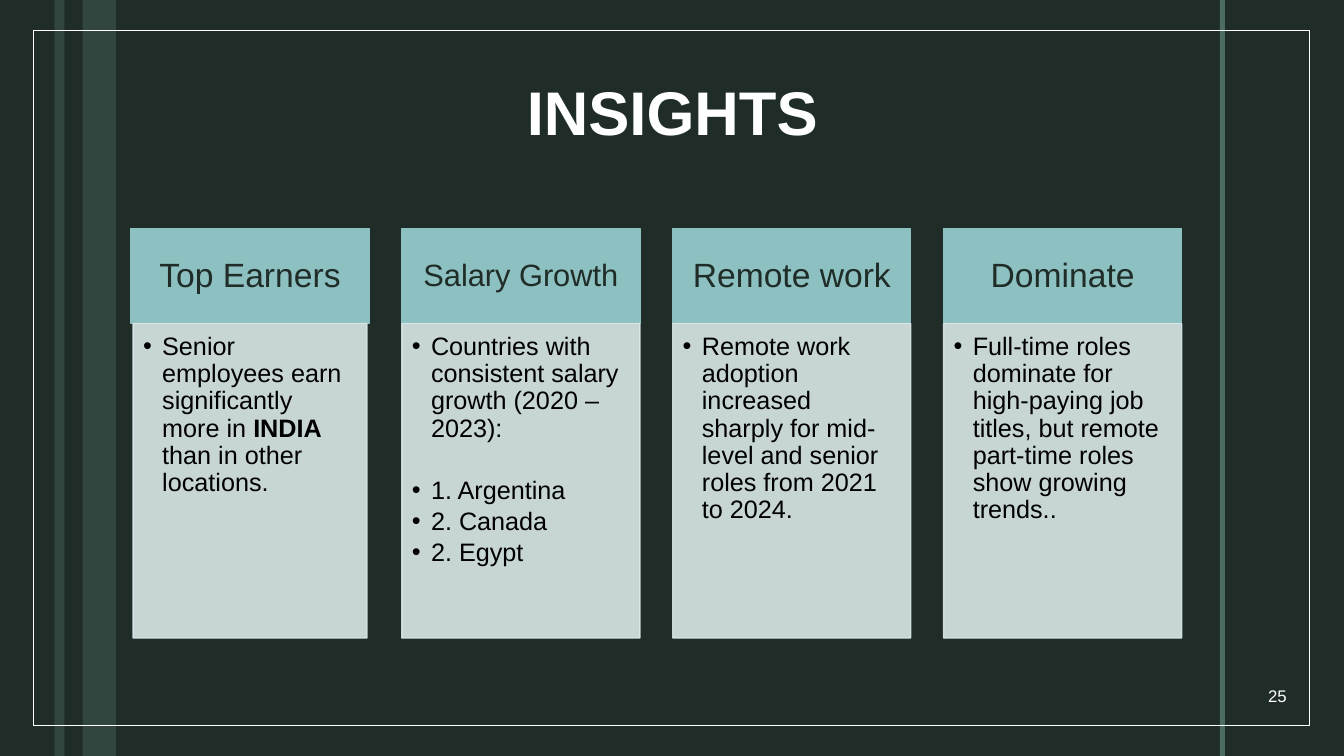
from dataclasses import dataclass

from lxml import etree
from pptx import Presentation
from pptx.dml.color import RGBColor
from pptx.enum.shapes import MSO_SHAPE
from pptx.enum.text import MSO_ANCHOR, PP_ALIGN
from pptx.oxml.ns import qn
from pptx.shapes.autoshape import Shape
from pptx.slide import Slide
from pptx.text.text import TextFrame, _Paragraph
from pptx.util import Inches, Pt

RECT = MSO_SHAPE.RECTANGLE
TOP, MIDDLE = MSO_ANCHOR.TOP, MSO_ANCHOR.MIDDLE
LEFT, CENTER, RIGHT = PP_ALIGN.LEFT, PP_ALIGN.CENTER, PP_ALIGN.RIGHT

FONT = "Arial"
COLORS = {
    "back": "1F2C28",
    "band": "31463F",
    "stripe": "4C6C62",
    "white": "FFFFFF",
    "head": "8DC0C0",
    "body": "DBE8E8",
    "black": "000000",
}

HEAD_TOP, HEAD_TALL = 2.27, 0.94
BODY_TOP, BODY_TALL = HEAD_TOP + HEAD_TALL, 3.12
CARD_LEFT, CARD_WIDE = 1.3, 2.36
CARD_STEP = (9.36 - CARD_LEFT) / 3
HANG = 0.19
LIST_GAP = 22.1


@dataclass
class Bar:
    left: float
    wide: float
    color: str


@dataclass
class Card:
    title: str
    text: str
    bold: str = ""
    items: tuple[str, ...] = ()
    size: int = 24
    trim: float = 0


BARS = [
    Bar(0.82, 0.33, "band"),
    Bar(0.54, 0.1, "band"),
    Bar(12.1, 0.05, "stripe"),
]

CARDS = [
    Card(
        "Top Earners",
        "Senior employees earn significantly more in INDIA than in other locations.",
        bold="INDIA",
        trim=0.02,
    ),
    Card(
        "Salary Growth",
        "Countries with consistent salary growth (2020 –2023):",
        items=("1. Argentina", "2. Canada", "2. Egypt"),
        size=22,
    ),
    Card(
        "Remote work",
        "Remote work adoption increased sharply for mid-level and senior roles "
        "from 2021 to 2024.",
    ),
    Card(
        "Dominate",
        "Full-time roles dominate for high-paying job titles, but remote "
        "part-time roles show growing trends..",
    ),
]


def tone(name: str) -> RGBColor:
    return RGBColor.from_string(COLORS[name])


def add_rect(slide: Slide, left: float, top: float, wide: float, tall: float,
             fill: str = "", line: str = "") -> Shape:
    """Add a flat rectangle; an empty colour name means no fill or no line."""
    rect = slide.shapes.add_shape(
        RECT, Inches(left), Inches(top), Inches(wide), Inches(tall))
    rect.shadow.inherit = False
    if fill:
        rect.fill.solid()
        rect.fill.fore_color.rgb = tone(fill)
    else:
        rect.fill.background()
    if line:
        rect.line.color.rgb = tone(line)
        rect.line.width = Pt(1)
    else:
        rect.line.fill.background()
    return rect


def fade(shape: Shape, cent: int) -> None:
    """Set the opacity of fill and line in percent."""
    for color in shape.element.spPr.iter(qn("a:srgbClr")):
        etree.SubElement(color, qn("a:alpha")).set("val", str(cent * 1000))


def set_frame(frame: TextFrame, anchor: MSO_ANCHOR, left: float, top: float,
              right: float, bottom: float) -> None:
    frame.word_wrap = True
    frame.vertical_anchor = anchor
    frame.margin_left, frame.margin_top = Inches(left), Inches(top)
    frame.margin_right, frame.margin_bottom = Inches(right), Inches(bottom)


def style(para: _Paragraph, align: PP_ALIGN, size: int, color: str,
          bold: bool | None = None) -> None:
    para.alignment = align
    para.line_spacing = 0.9
    para.font.name = FONT
    para.font.size = Pt(size)
    para.font.color.rgb = tone(color)
    para.font.bold = bold


def add_bullet(para: _Paragraph) -> None:
    props = para._p.get_or_add_pPr()
    props.set("marL", str(Inches(HANG)))
    props.set("indent", str(-Inches(HANG)))
    etree.SubElement(props, qn("a:buFont")).set("typeface", FONT)
    etree.SubElement(props, qn("a:buChar")).set("char", "•")


def add_label(slide: Slide, text: str, left: float, top: float, wide: float,
              tall: float, align: PP_ALIGN, size: int, bold: bool) -> None:
    box = slide.shapes.add_textbox(
        Inches(left), Inches(top), Inches(wide), Inches(tall))
    set_frame(box.text_frame, MIDDLE, 0.1, 0.05, 0.1, 0.05)
    para = box.text_frame.paragraphs[0]
    para.text = text
    style(para, align, size, "white", bold)


def add_card(slide: Slide, card: Card, left: float) -> None:
    head = add_rect(slide, left, HEAD_TOP, CARD_WIDE, HEAD_TALL, "head", "head")
    side = card.size / 128
    set_frame(head.text_frame, MIDDLE, side, 0.1, side, 0.1)
    title = head.text_frame.paragraphs[0]
    title.text = card.title
    style(title, CENTER, card.size, "back")

    body = add_rect(slide, left + card.trim, BODY_TOP,
                    CARD_WIDE - 2 * card.trim, BODY_TALL, "body", "body")
    fade(body, 90)
    frame = body.text_frame
    set_frame(frame, TOP, 0.1, 0.1, 0.14, 0.16)
    for i, text in enumerate((card.text, *card.items)):
        para = frame.paragraphs[0] if i == 0 else frame.add_paragraph()
        add_bullet(para)
        style(para, LEFT, 18, "black")
        para.space_after = Pt(2.7)
        if i == 1:
            para.space_before = Pt(LIST_GAP)
        start, bold, rest = text.partition(card.bold) if card.bold else (text, "", "")
        for part in filter(None, (start, bold, rest)):
            run = para.add_run()
            run.text = part
            if part == bold:
                run.font.bold = True


def main() -> None:
    deck = Presentation()
    deck.slide_width, deck.slide_height = Inches(13.33), Inches(7.5)
    slide = deck.slides.add_slide(deck.slide_layouts[6])
    slide.background.fill.solid()
    slide.background.fill.fore_color.rgb = tone("back")

    for bar in BARS:
        add_rect(slide, bar.left, 0, bar.wide, 7.5, bar.color)
    add_rect(slide, 0.33, 0.3, 12.66, 6.9, line="white")
    add_label(slide, "INSIGHTS", 0.42, 0.42, 12.5, 1.45, CENTER, 44, True)
    add_label(slide, "25", 11.94, 6.72, 0.92, 0.4, RIGHT, 12, False)
    for i, card in enumerate(CARDS):
        add_card(slide, card, CARD_LEFT + i * CARD_STEP)
    deck.save("out.pptx")


if __name__ == "__main__":
    main()
